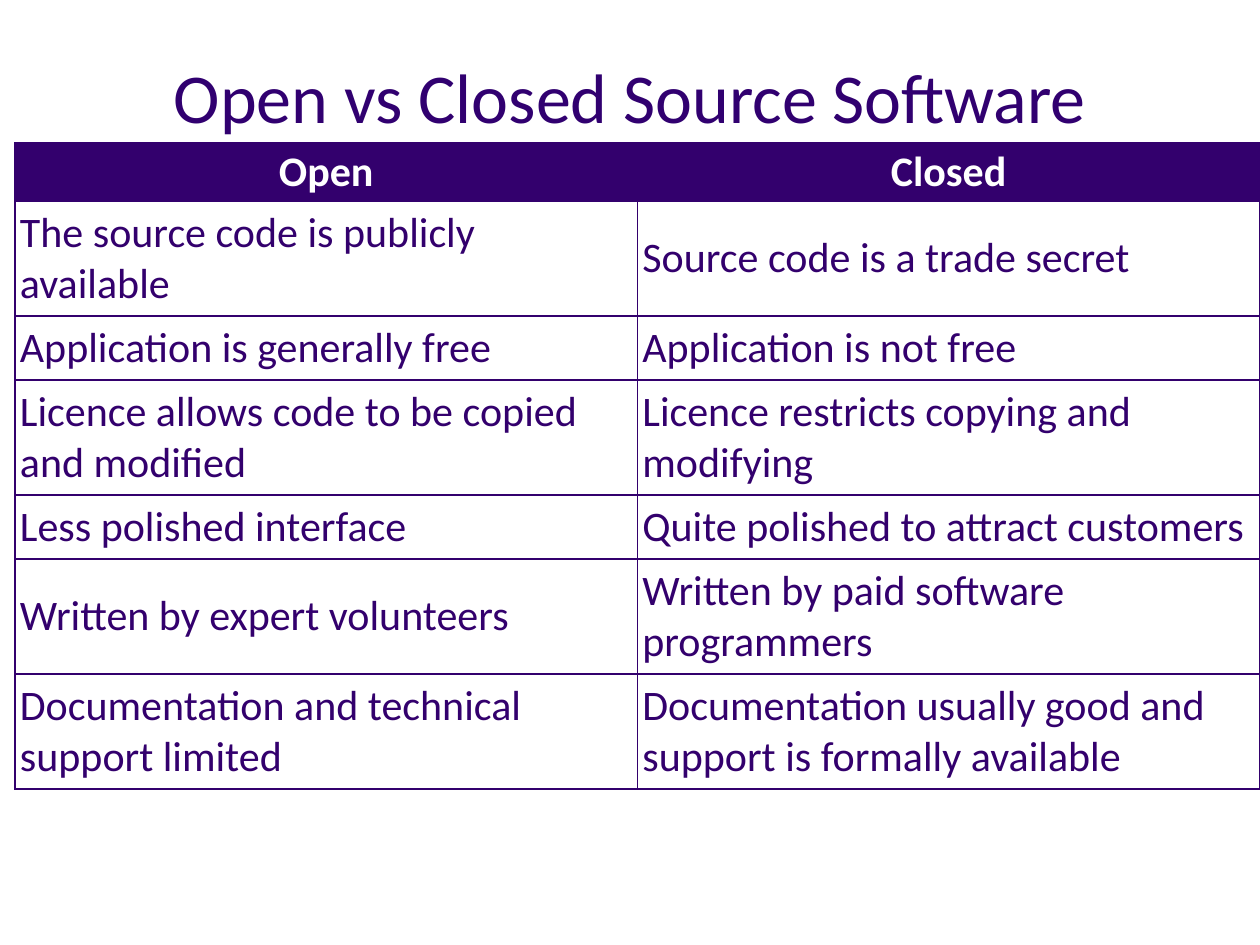
from lxml.etree import SubElement
from pptx import Presentation
from pptx.dml.color import RGBColor
from pptx.enum.text import MSO_ANCHOR, PP_ALIGN
from pptx.oxml.ns import qn
from pptx.util import Pt

EMU_PER_PX = 914400 / 126
FONT = "Calibri"
PURPLE, TITLE_PURPLE, WHITE = "33006D", "310070", "FFFFFF"

HEADERS = ("Open", "Closed")
COMPARISONS = [
    ("The source code is publicly available", "Source code is a trade secret"),
    ("Application is generally free", "Application is not free"),
    ("Licence allows code to be copied and modified",
     "Licence restricts copying and modifying"),
    ("Less polished interface", "Quite polished to attract customers"),
    ("Written by expert volunteers", "Written by paid software programmers"),
    ("Documentation and technical support limited",
     "Documentation usually good and support is formally available"),
]
HEADER_HEIGHT, ONE_LINE, TWO_LINES = 58, 64, 115
ROW_HEIGHTS = [HEADER_HEIGHT, TWO_LINES, ONE_LINE, TWO_LINES, ONE_LINE,
               TWO_LINES, TWO_LINES]


def px(length):
    return round(length * EMU_PER_PX)


def color(hex_value):
    return RGBColor.from_string(hex_value)


def write_text(text_frame, text, size, hex_value, alignment, bold=False):
    text_frame.text = text
    paragraph = text_frame.paragraphs[0]
    paragraph.alignment = alignment
    for run in paragraph.runs:
        run.font.name = FONT
        run.font.size = Pt(size)
        run.font.bold = bold
        run.font.color.rgb = color(hex_value)


def add_borders(cell, hex_value, width):
    properties = cell._tc.get_or_add_tcPr()
    for side in ("a:lnL", "a:lnR", "a:lnT", "a:lnB"):
        line = SubElement(properties, qn(side), w=str(Pt(width)))
        fill = SubElement(line, qn("a:solidFill"))
        SubElement(fill, qn("a:srgbClr"), val=hex_value)


def format_cell(cell, text, is_header):
    cell.vertical_anchor = MSO_ANCHOR.MIDDLE
    cell.margin_left = cell.margin_right = px(5)
    cell.margin_top = cell.margin_bottom = px(3 if is_header else 6)
    add_borders(cell, PURPLE, 1)
    cell.fill.solid()
    cell.fill.fore_color.rgb = color(PURPLE if is_header else WHITE)
    write_text(cell.text_frame, text, 24, WHITE if is_header else PURPLE,
               PP_ALIGN.CENTER if is_header else PP_ALIGN.LEFT, is_header)


def add_title(slide, left, top, width, height):
    box = slide.shapes.add_textbox(px(left), px(top), px(width), px(height))
    box.text_frame.word_wrap = True
    box.text_frame.vertical_anchor = MSO_ANCHOR.MIDDLE
    write_text(box.text_frame, "Open vs Closed Source Software", 40,
               TITLE_PURPLE, PP_ALIGN.CENTER)


def add_comparison_table(slide, left, top, width):
    rows = [HEADERS, *COMPARISONS]
    table = slide.shapes.add_table(
        len(rows), len(HEADERS), px(left), px(top), px(width),
        px(sum(ROW_HEIGHTS))).table
    for row_index, texts in enumerate(rows):
        table.rows[row_index].height = px(ROW_HEIGHTS[row_index])
        for column_index, text in enumerate(texts):
            format_cell(table.cell(row_index, column_index), text,
                        is_header=row_index == 0)


def main():
    presentation = Presentation()
    presentation.slide_width = px(1260)
    presentation.slide_height = px(945)
    slide = presentation.slides.add_slide(presentation.slide_layouts[6])
    add_title(slide, 63, 38, 1134, 115)
    add_comparison_table(slide, 15, 143, 1245)
    presentation.save("out.pptx")


if __name__ == "__main__":
    main()
